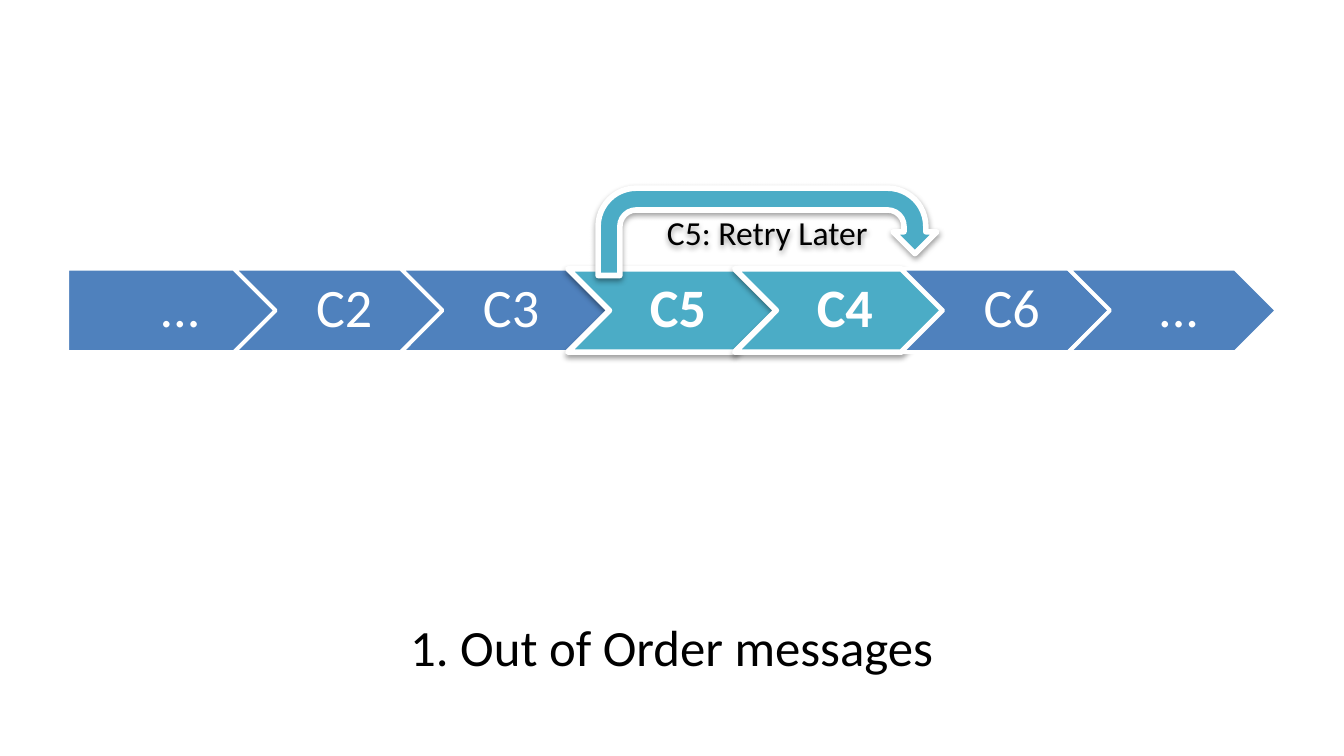
from lxml import etree
from pptx import Presentation
from pptx.dml.color import RGBColor
from pptx.enum import shapes, text
from pptx.oxml import ns
from pptx.util import Inches, Pt

BLUE, TEAL, WHITE, BLACK = "4F81BD", "4BACC6", "FFFFFF", "000000"
STEPS = ["...", "C2", "C3", "C5", "C4", "C6", "..."]
SWAPPED = {"C5", "C4"}


def color(value):
    """Return the colour for a hex string."""
    return RGBColor.from_string(value)


def add_shadow(sp):
    """Give a shape a soft shadow below it."""
    effects = sp._element.spPr.find(ns.qn("a:effectLst"))
    shadow = etree.SubElement(effects, ns.qn("a:outerShdw"), blurRad=str(Pt(3.1)),
                              dist=str(Pt(1.6)), dir="5400000", rotWithShape="0")
    tint = etree.SubElement(shadow, ns.qn("a:srgbClr"), val=BLACK)
    etree.SubElement(tint, ns.qn("a:alpha"), val="38000")


def add_block(slide, kind, box, fill, raised):
    """Draw a white-edged preset shape, with a shadow if raised."""
    sp = slide.shapes.add_shape(kind, *map(Inches, box))
    sp.shadow.inherit = False
    sp.fill.solid()
    sp.fill.fore_color.rgb = color(fill)
    sp.line.color.rgb = color(WHITE)
    sp.line.width = Pt(3 if raised else 2)
    if raised:
        add_shadow(sp)
    return sp


def write(sp, words, size, ink, anchor=text.MSO_ANCHOR.MIDDLE, bold=False):
    """Write one centred paragraph in a shape and return it."""
    tf = sp.text_frame
    tf.word_wrap = True
    tf.vertical_anchor = anchor
    p = tf.paragraphs[0]
    p.text = words
    p.alignment = text.PP_ALIGN.CENTER
    p.font.name, p.font.size, p.font.bold = "Calibri", Pt(size), bold
    p.font.color.rgb = color(ink)
    return p


def add_chain(slide, left, top, width, height):
    """Draw the message sequence as overlapping chevrons that fill the box."""
    step_w = 1.55
    pitch = (width - step_w) / (len(STEPS) - 1)
    for i, name in enumerate(STEPS):
        raised = name in SWAPPED
        kind = shapes.MSO_SHAPE.CHEVRON if i else shapes.MSO_SHAPE.PENTAGON
        box = left + i * pitch, top, step_w, height
        add_block(slide, kind, box, TEAL if raised else BLUE, raised)
        label = slide.shapes.add_textbox(*map(Inches, box))
        tf = label.text_frame
        tf.margin_left = Inches(0.13 if i else 0.17)
        tf.margin_right = Inches(0.04)
        tf.margin_top = tf.margin_bottom = Inches(0.08)
        write(label, name, 29, WHITE, bold=raised).line_spacing = 0.9


def add_retry(slide, *box):
    """Draw the labelled arrow that moves a message back in the sequence."""
    sp = add_block(slide, shapes.MSO_SHAPE.U_TURN_ARROW, box, TEAL, True)
    write(sp, "C5: Retry Later", 18, BLACK)


def add_caption(slide, *box):
    """Write the caption below the sequence."""
    sp = slide.shapes.add_textbox(*map(Inches, box))
    write(sp, "1. Out of Order messages", 27.2, BLACK, text.MSO_ANCHOR.TOP)


def main():
    """Build and save the slide."""
    prs = Presentation()
    prs.slide_width, prs.slide_height = Inches(10), Inches(10 * 9 / 16)
    slide = prs.slides.add_slide(prs.slide_layouts[6])
    add_caption(slide, 0.5, 4.53, 9, 0.5)
    add_chain(slide, 0.5, 2, 9, 0.62)
    add_retry(slide, 4.45, 1.4, 2.52, 0.65)
    prs.save("out.pptx")


if __name__ == "__main__":
    main()
